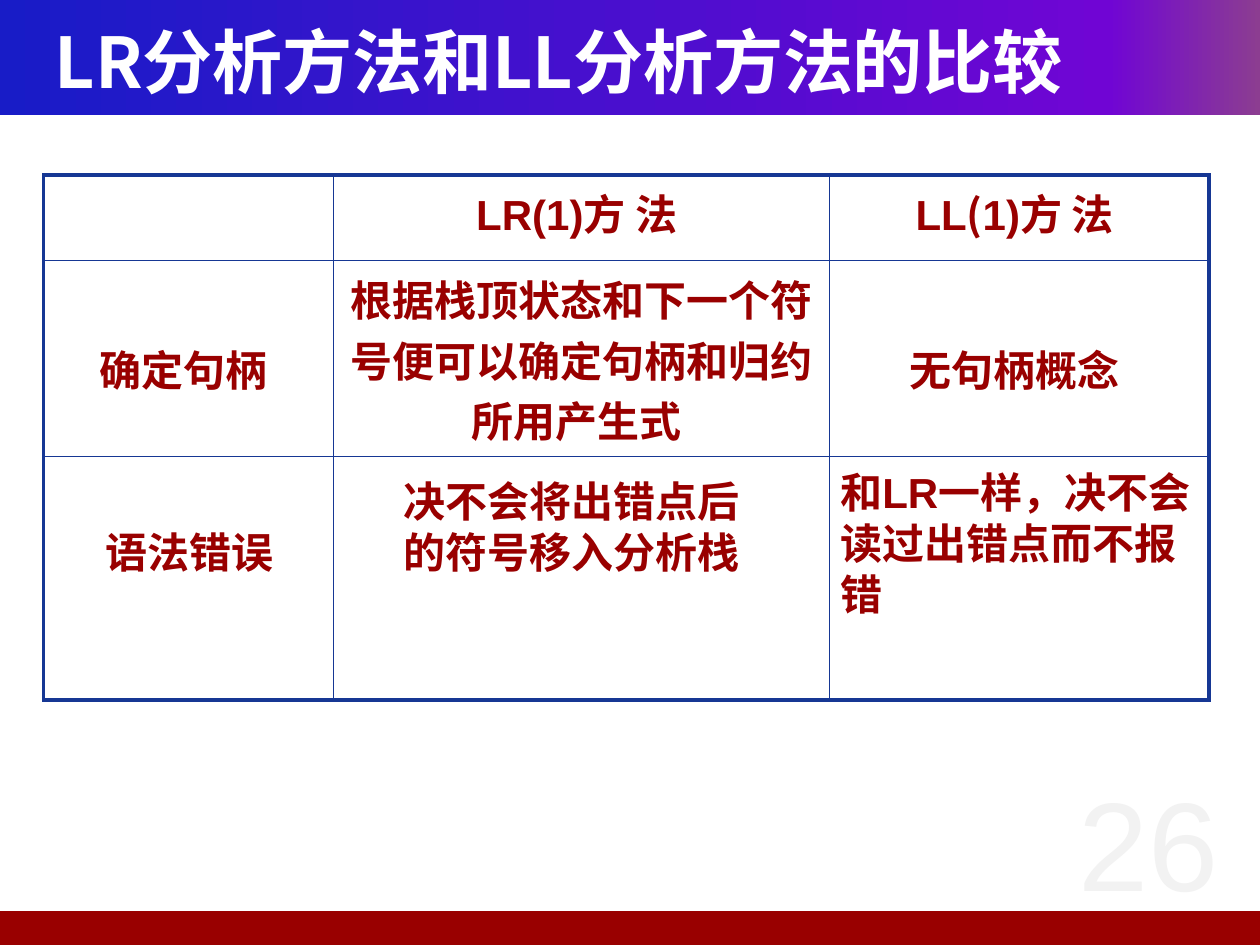
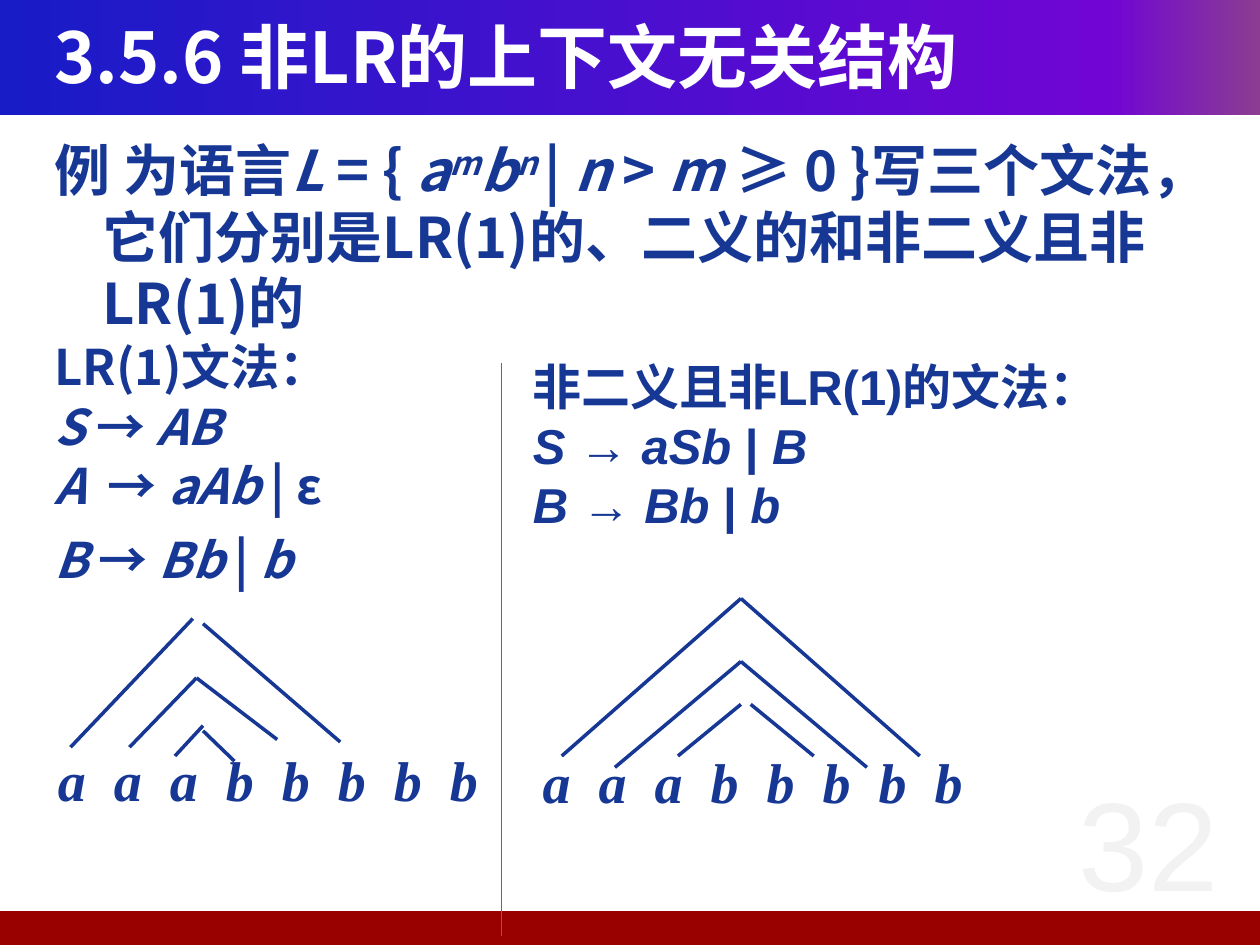
import dataclasses

import lxml.etree
import pptx
import pptx.dml.color
import pptx.enum.shapes
import pptx.enum.text
import pptx.oxml.ns
import pptx.util

Pt = pptx.util.Pt
qn = pptx.oxml.ns.qn
ALIGN = pptx.enum.text.PP_ALIGN
ANCHOR = pptx.enum.text.MSO_ANCHOR

COLORS = {
    "white": "FFFFFF", "navy": "163794", "red": "990000", "pale": "F2F2F2",
    "teal": "009696", "blue": "181CC7", "violet": "7005D4", "plum": "8C3D91",
}
HEADER_STOPS = [(0, "blue"), (88, "violet"), (100, "plum")]
NOTO, ARIAL, TIMES = "Noto Sans CJK SC", "Arial", "Times New Roman"


@dataclasses.dataclass(frozen=True)
class Style:
    size: float
    color: str
    font: str = NOTO
    bold: bool = True


@dataclasses.dataclass(frozen=True)
class Span:
    text: str
    italic: bool = False
    raised: bool = False
    font: str = ""


@dataclasses.dataclass(frozen=True)
class Line:
    spans: list[Span]
    style: Style
    pitch: float | None = None
    before: float = 0
    hanging: float = 0
    align: ALIGN = ALIGN.LEFT


@dataclasses.dataclass(frozen=True)
class Box:
    left: float
    top: float
    width: float
    height: float
    side_inset: float = 7.2


@dataclasses.dataclass(frozen=True)
class Branch:
    x1: float
    y1: float
    x2: float
    y2: float


@dataclasses.dataclass(frozen=True)
class Derivation:
    letters: Box
    branches: list[Branch]


TITLE = Style(40, "white")
PAGE_NUMBER = Style(72, "pale", ARIAL, False)
TABLE_TEXT = Style(24, "red")
EXAMPLE = Style(32, "navy")
GRAMMAR = Style(28, "navy")
SENTENCE = Style(32, "navy", TIMES)


def rgb(name: str) -> pptx.dml.color.RGBColor:
    return pptx.dml.color.RGBColor.from_string(COLORS[name])


def add_color(parent, name: str) -> None:
    lxml.etree.SubElement(parent, qn("a:srgbClr"), val=COLORS[name])


def add_span(paragraph, span: Span, style: Style) -> None:
    run = paragraph.add_run()
    run.text = span.text
    font = run.font
    font.size, font.bold, font.italic = Pt(style.size), style.bold, span.italic
    font.color.rgb = rgb(style.color)
    font.name = span.font or style.font
    properties = run.font._element
    if span.raised:
        properties.set("baseline", "30000")
    lxml.etree.SubElement(properties, qn("a:ea"), typeface=font.name)


def write(frame, lines: list[Line]) -> None:
    for index, line in enumerate(lines):
        paragraph = frame.add_paragraph() if index else frame.paragraphs[0]
        paragraph.alignment = line.align
        if line.pitch:
            paragraph.line_spacing = Pt(line.pitch)
        if line.before:
            paragraph.space_before = Pt(line.before)
        if line.hanging:
            properties = paragraph._p.get_or_add_pPr()
            properties.set("marL", str(Pt(line.hanging)))
            properties.set("indent", str(-Pt(line.hanging)))
        for span in line.spans:
            add_span(paragraph, span, line.style)


def add_text(shapes, box: Box, lines: list[Line]):
    frame = shapes.add_textbox(Pt(box.left), Pt(box.top), Pt(box.width), Pt(box.height)).text_frame
    frame.word_wrap = True
    frame.margin_left = frame.margin_right = Pt(box.side_inset)
    write(frame, lines)
    return frame


def add_line(shapes, branch: Branch, color: str, width: float) -> None:
    line = shapes.add_connector(
        pptx.enum.shapes.MSO_CONNECTOR.STRAIGHT,
        Pt(branch.x1), Pt(branch.y1), Pt(branch.x2), Pt(branch.y2))
    line.line.color.rgb = rgb(color)
    line.line.width = Pt(width)
    lxml.etree.SubElement(line.element.spPr, qn("a:effectLst"))


def add_bands(layout, slide) -> None:
    for index, (top, height) in enumerate([(0, 65.5), (520.6, 19.4)]):
        band = slide.shapes.add_shape(
            pptx.enum.shapes.MSO_SHAPE.RECTANGLE, 0, Pt(top), Pt(720), Pt(height))
        band.shadow.inherit = False
        band.line.fill.background()
        if top:
            band.fill.solid()
            band.fill.fore_color.rgb = rgb("red")
        else:
            band.fill.gradient()
            band.fill.gradient_angle = 0
            stops = band.element.spPr.find(".//" + qn("a:gsLst"))
            for stop in list(stops):
                stops.remove(stop)
            for position, color in HEADER_STOPS:
                add_color(lxml.etree.SubElement(stops, qn("a:gs"), pos=str(position * 1000)), color)
        band.element.nvSpPr.cNvPr.set("id", str(101 + index))
        layout.shapes.element.insert(2 + index, band.element)


def add_slide(deck, title: str, number: str, spacing: float = 1.0):
    slide = deck.slides.add_slide(deck.slide_layouts[5])
    heading = slide.shapes.title
    heading.left, heading.top, heading.width, heading.height = Pt(24), Pt(12), Pt(666), Pt(45)
    heading.text_frame.vertical_anchor = ANCHOR.MIDDLE
    heading.text_frame.auto_size = pptx.enum.text.MSO_AUTO_SIZE.NONE
    write(heading.text_frame, [Line([Span(title)], TITLE)])
    heading.text_frame.paragraphs[0].line_spacing = spacing
    add_text(slide.shapes, Box(592.5, 434, 127.5, 102),
             [Line([Span(number)], PAGE_NUMBER, align=ALIGN.CENTER)])
    return slide


def set_borders(cell, widths: dict[str, float]) -> None:
    properties = cell._tc.get_or_add_tcPr()
    for side, width in widths.items():
        border = lxml.etree.SubElement(properties, qn(f"a:ln{side}"), w=str(Pt(width)))
        add_color(lxml.etree.SubElement(border, qn("a:solidFill")), "navy")


def add_comparison(slide) -> None:
    widths, heights = [165.5, 283.5, 217], [49, 112, 139]
    method = Span("方 法 ")
    cells = [
        [[], [Span("LR(1)", font=ARIAL), method],
         [Span("LL", font=ARIAL), Span("("), Span("1)", font=ARIAL), method]],
        [[Span("确定句柄 ")],
         [Span("根据栈顶状态和下一个符号便可以确定句柄和归约所用产生式 ")],
         [Span("无句柄概念 ")]],
        [[], [], []],
    ]
    table = slide.shapes.add_table(
        3, 3, Pt(25), Pt(100), Pt(sum(widths)), Pt(sum(heights))).table
    table.first_row = table.horz_banding = False
    for column, width in zip(table.columns, widths):
        column.width = Pt(width)
    for r, height in enumerate(heights):
        table.rows[r].height = Pt(height)
        for c, spans in enumerate(cells[r]):
            cell = table.cell(r, c)
            edges = {"L": c == 0, "R": c == 2, "T": r == 0, "B": r == 2}
            set_borders(cell, {side: 2.25 if outer else 1 for side, outer in edges.items()})
            cell.fill.background()
            if r == 1:
                cell.vertical_anchor = ANCHOR.MIDDLE
                cell.margin_top = Pt(3.6 if c == 1 else 14)
            if spans:
                write(cell.text_frame, [Line(spans, TABLE_TEXT, align=ALIGN.CENTER)])


def add_error_row(slide) -> None:
    entries = [
        (Box(60.5, 297, 110, 36, 0), [Span("语法错误")]),
        (Box(230.4, 268, 204.5, 65, 0), [Span("决不会将出错点后的符号移入分析栈")]),
        (Box(480.2, 263, 204.5, 94, 0),
         [Span("和"), Span("LR", font=ARIAL), Span("一样，决不会读过出错点而不报错")]),
    ]
    for box, spans in entries:
        add_text(slide.shapes, box, [Line(spans, TABLE_TEXT, 29)])


def add_grammars(slide) -> None:
    example = [
        Span("例 为语言"), Span("L", True), Span(" = { "), Span("a", True),
        Span("m", True, True), Span("b", True), Span("n ", True, True), Span("| "),
        Span("n", True), Span(" > "), Span("m ", True),
        Span("≥ 0 }写三个文法，它们分别是LR(1)的、二义的和非二义且非LR(1)的"),
    ]
    lr_rules = [
        [Span("LR(1)文法：")],
        [Span("S ", True), Span("→ "), Span("AB", True)],
        [Span("A  ", True), Span("→ "), Span("aAb ", True), Span("| ε")],
    ]
    last_rule = [Span("B ", True), Span("→"), Span(" Bb", True), Span(" |"), Span(" b", True)]
    add_text(slide.shapes, Box(24, 74.5, 672, 390),
             [Line(example, EXAMPLE, 38, hanging=27.5)]
             + [Line(rule, GRAMMAR, 34) for rule in lr_rules]
             + [Line(last_rule, GRAMMAR, 34, before=8)])

    arial = dataclasses.replace(GRAMMAR, font=ARIAL)
    other_rules = [
        [Span("非二义且非", font=NOTO), Span("LR(1)"), Span("的文法：", font=NOTO)],
        [Span("S ", True), Span("→"), Span(" aSb", True), Span(" | "), Span("B", True)],
        [Span("B ", True), Span("→ "), Span("Bb", True), Span(" | "), Span("b", True)],
    ]
    add_text(slide.shapes, Box(297.4, 200.5, 345, 142),
             [Line(rule, arial, 33.5) for rule in other_rules])


def add_derivation(slide, derivation: Derivation) -> None:
    shapes = slide.shapes.add_group_shape().shapes
    frame = add_text(shapes, derivation.letters, [Line([Span("\t".join("aaabbbbb"), True)], SENTENCE)])
    tabs = lxml.etree.SubElement(frame.paragraphs[0]._p.get_or_add_pPr(), qn("a:tabLst"))
    for step in range(1, 8):
        lxml.etree.SubElement(tabs, qn("a:tab"), pos=str(Pt(32 * step)), algn="l")
    for branch in derivation.branches:
        add_line(shapes, branch, "navy", 2)


DERIVATIONS = [
    Derivation(Box(26, 422.6, 264, 68), [
        Branch(100, 432, 116, 414.7), Branch(116, 417.6, 134, 435),
        Branch(74, 427, 112.3, 387.4), Branch(112.3, 387.4, 158.4, 422.6),
        Branch(40.3, 427, 110.2, 353.5), Branch(116, 356.4, 194.4, 424),
    ]),
    Derivation(Box(303, 423.4, 264, 68), [
        Branch(321, 432, 423.4, 342), Branch(525.6, 432, 423.4, 342),
        Branch(351.4, 438.5, 423.4, 378), Branch(495.4, 438.5, 423.4, 378),
        Branch(387.4, 432, 423.4, 402.5), Branch(465, 432, 429, 402.5),
    ]),
]


def main() -> None:
    deck = pptx.Presentation()
    deck.slide_width, deck.slide_height = Pt(720), Pt(540)

    comparison = add_slide(deck, "LR分析方法和LL分析方法的比较", "26")
    add_bands(deck.slide_layouts[5], comparison)
    add_comparison(comparison)
    add_error_row(comparison)

    structures = add_slide(deck, "3.5.6 非LR的上下文无关结构", "32", 0.9)
    add_grammars(structures)
    for derivation in DERIVATIONS:
        add_derivation(structures, derivation)
    add_line(structures.shapes, Branch(286.5, 535, 286.5, 207.4), "teal", 0.75)
    for paragraph in structures.shapes.title.text_frame.paragraphs:
        paragraph.alignment = ALIGN.LEFT

    deck.save("out.pptx")


if __name__ == "__main__":
    main()
